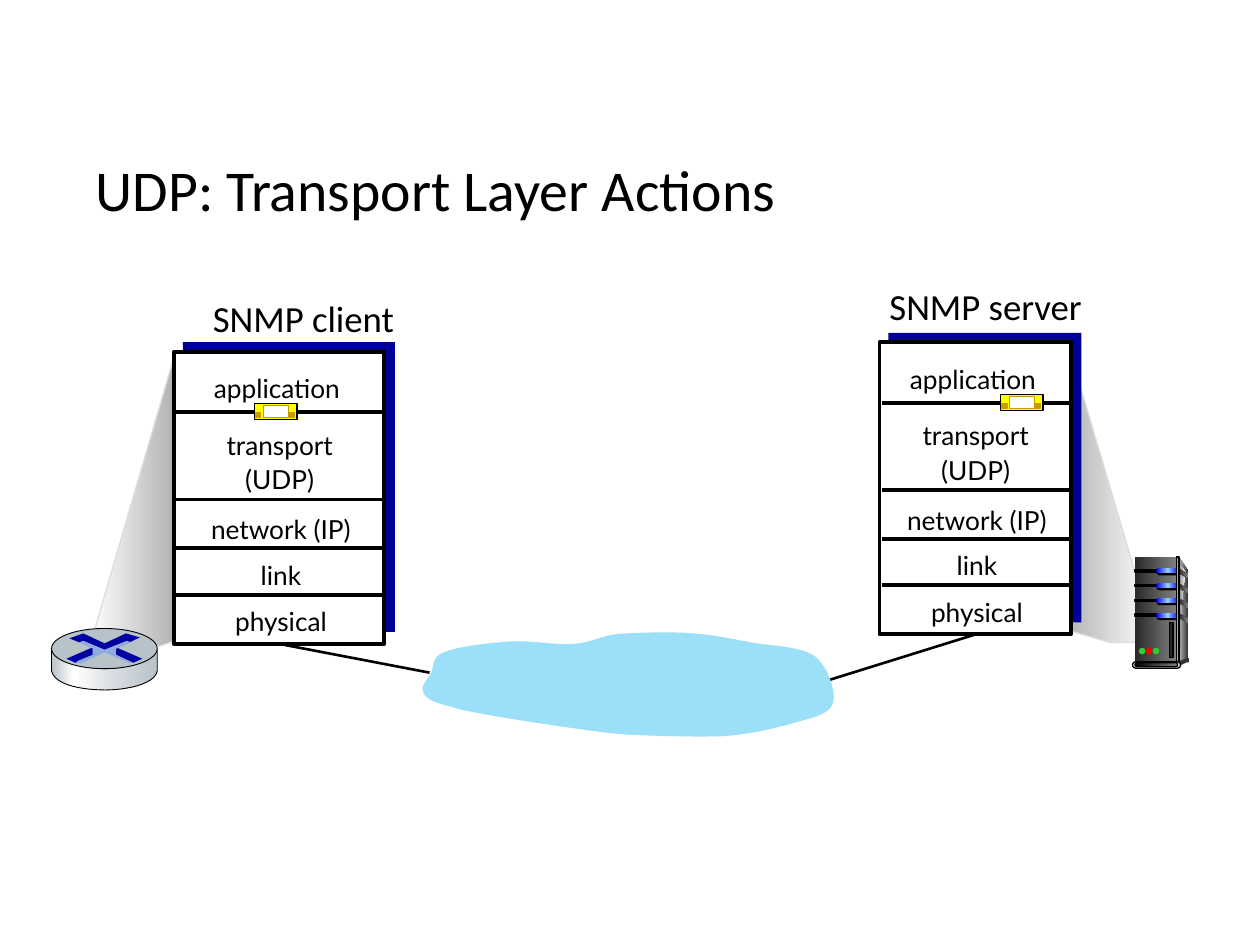
from copy import deepcopy
from dataclasses import dataclass

from lxml import etree
from pptx import Presentation
from pptx import util as u
from pptx.dml import color
from pptx.enum import shapes as kinds, text
from pptx.oxml import ns

RECTANGLE = kinds.MSO_SHAPE.RECTANGLE
PILL = kinds.MSO_SHAPE.ROUNDED_RECTANGLE
OVAL = kinds.MSO_SHAPE.OVAL


@dataclass(frozen=True)
class Theme:
    black: str = "000000"
    white: str = "FFFFFF"
    navy: str = "000099"
    arrow: str = "0000A3"
    arrow_shade: str = "8FAADC"
    cloud: str = "9CDFF9"
    steel: str = "B8C2C9"
    router_side: tuple = ((0, "B8C2C9"), (0.21, "FFFFFF"), (0.6, "D6DCE0"), (1, "B8C2C9"))
    beam_line: str = "DDDDDD"
    beam_left: tuple = ((0, "FFFFFF"), (1, "B2B2B2"))
    beam_right: tuple = ((0, "B2B2B2"), (1, "FFFFFF"))
    yellow: str = "FFFF00"
    ochre: str = "CC9900"
    charcoal: str = "292929"
    dark: str = "333333"
    silver: str = "DDDDDD"
    metal: tuple = ((0, "292929"), (1, "808080"))
    base: tuple = ((0, "000000"), (1, "808080"))
    side: tuple = ((0, "DDDDDD"), (1, "333333"))
    shine: tuple = ((0, "808080"), (1, "F8F8F8"))
    edge: tuple = ((0, "333333"), (0.5, "DDDDDD"), (1, "333333"))
    bay: tuple = ((0, "0000FF"), (0.5, "99CCFF"), (1, "0000FF"))
    green: str = "33CC33"
    red: str = "FF0000"
    heading_font: str = "Calibri"
    layer_font: str = "Lato"
    title_size: int = 33
    caption_size: int = 21
    layer_size: int = 15


@dataclass(frozen=True)
class Box:
    left: float
    top: float
    width: float
    height: float

    def inner(self, left, top, width, height):
        return Box(self.left + left, self.top + top, width, height)

    def lengths(self):
        return [u.Cm(value) for value in (self.left, self.top, self.width, self.height)]


THEME = Theme()


def assign(target, values):
    for name, value in values.items():
        setattr(target, name, value)


def paint(shape, fill, line=None, weight=0.75):
    shape.shadow.inherit = False
    if isinstance(fill, str):
        shape.fill.solid()
        shape.fill.fore_color.rgb = color.RGBColor.from_string(fill)
    else:
        shape.fill.gradient()
        shape.fill.gradient_angle = 0
        stop_list = shape._element.spPr.find(ns.qn("a:gradFill")).find(ns.qn("a:gsLst"))
        for _ in fill[2:]:
            stop_list.append(deepcopy(stop_list[0]))
        for stop, (position, tone) in zip(shape.fill.gradient_stops, fill):
            stop.position = position
            stop.color.rgb = color.RGBColor.from_string(tone)
    if line:
        shape.line.color.rgb = color.RGBColor.from_string(line)
        shape.line.width = u.Pt(weight)
    else:
        shape.line.fill.background()
    return shape


def add_block(shapes, kind, box, fill, line=None, weight=0.75):
    shape = shapes.add_shape(kind, *box.lengths())
    if kind == PILL:
        shape.adjustments[0] = 0.5
    return paint(shape, fill, line, weight)


def curve(start, first, second, end, steps=12):
    for step in range(1, steps + 1):
        t = step / steps
        weights = ((1 - t) ** 3, 3 * t * (1 - t) ** 2, 3 * t * t * (1 - t), t ** 3)
        yield tuple(sum(w * p[axis] for w, p in zip(weights, (start, first, second, end)))
                    for axis in (0, 1))


def add_outline(shapes, box, steps, fill, line=None, weight=0.75):
    points = [steps[0]]
    for step in steps[1:]:
        points += curve(points[-1], *step) if isinstance(step[0], tuple) else [step]
    places = [(u.Cm(box.left + x), u.Cm(box.top + y)) for x, y in points]
    builder = shapes.build_freeform(*places[0])
    builder.add_line_segments(places[1:], close=True)
    return paint(builder.convert_to_shape(), fill, line, weight)


def add_line(shapes, start, end, weight):
    connector = shapes.add_connector(kinds.MSO_CONNECTOR.STRAIGHT,
                                     *[u.Cm(value) for value in (*start, *end)])
    connector.line.color.rgb = color.RGBColor.from_string(THEME.black)
    connector.line.width = u.Pt(weight)
    etree.SubElement(connector._element.spPr, ns.qn("a:effectLst"))
    return connector


def add_text(shapes, box, lines, font, size, frame_values=None, paragraph_values=None):
    frame = shapes.add_textbox(*box.lengths()).text_frame
    assign(frame, {"word_wrap": True, **(frame_values or {})})
    frame.text = "\n".join(lines)
    for paragraph in frame.paragraphs:
        assign(paragraph, paragraph_values or {})
        assign(paragraph.font, {"name": font, "size": u.Pt(size)})
        paragraph.font.color.rgb = color.RGBColor.from_string(THEME.black)


def add_caption(shapes, box, label):
    add_text(shapes, box, [label], THEME.heading_font, THEME.caption_size, {"word_wrap": False})


def add_stack(slide, box):
    shapes = slide.shapes.add_group_shape().shapes
    add_block(shapes, RECTANGLE, box.inner(0.18, -0.19, box.width + 0.03, 5.84), THEME.navy)
    front = add_block(shapes, RECTANGLE, box, THEME.white, THEME.black, 2.25)
    for offset in (1.22, 2.98, 3.96, 4.9):
        y = box.top + offset
        add_line(shapes, (box.left + 0.04, y), (box.left + box.width, y), 2.25)
    layers = ((["application"], 0.23, 0.89, 0.17, 0.43),
              (["transport", "(UDP)"], 1.37, 1.6, 0.51, 1),
              (["network (IP)"], 3.07, 0.89, 0.25, 0.43),
              (["link"], 3.99, 0.89, 0.25, 0.43),
              (["physical"], 4.93, 0.89, 0.25, 0.43))
    for lines, top, height, left, margin in layers:
        add_text(shapes, box.inner(left, top, box.width - margin, height), lines,
                 THEME.layer_font, THEME.layer_size, None,
                 {"alignment": text.PP_ALIGN.CENTER, "line_spacing": 1.1})
    return front


def add_datagram(slide, box):
    shapes = slide.shapes.add_group_shape().shapes
    add_block(shapes, RECTANGLE, box, THEME.yellow, THEME.black)
    add_block(shapes, RECTANGLE, box.inner(0.18, 0.04, 0.51, 0.25), THEME.white, THEME.ochre)
    for left in (0.03, 0.71):
        add_block(shapes, RECTANGLE, box.inner(left, 0.19, 0.1, 0.1), THEME.ochre, THEME.ochre)


def add_tower(slide, box):
    shapes = slide.shapes.add_group_shape().shapes
    add_outline(shapes, box, [(0.94, 0), (1.12, 0.28), (1.12, 2.03), (0.89, 2.13)], THEME.side)
    add_block(shapes, RECTANGLE, box.inner(0.05, 0, 0.84, 2.13), THEME.metal)
    add_outline(shapes, box, [(0.94, 0.13), (1.07, 0.3),
                              ((0.94, 1.09), (0.97, 2.11), (0.94, 2.08))], THEME.shine)
    for bay in range(4):
        row = box.inner(0, 0.23 + 0.3 * bay, box.width, 0.3)
        add_block(shapes, RECTANGLE, row.inner(0.05, 0.02, 0.48, 0.05), THEME.black, THEME.black)
        add_block(shapes, PILL, row.inner(0.48, 0, 0.46, 0.14), THEME.black)
        add_block(shapes, PILL, row.inner(0.48, 0, 0.46, 0.1), THEME.bay)
        add_outline(shapes, row, [(0.93, 0), (1.13, 0.12), (1.12, 0.2), (0.93, 0.09)], THEME.metal)
    add_block(shapes, RECTANGLE, box.inner(0.89, 0, 0.05, 2.13), THEME.edge, THEME.black)
    add_block(shapes, OVAL, box.inner(1.09, 2.03, 0.05, 0.1), THEME.dark)
    add_outline(shapes, box, [(0.91, 2.11), (0.91, 2.21), (1.12, 2.11), (1.12, 2.03)], THEME.dark)
    add_block(shapes, PILL, box.inner(0, 2.11, 0.97, 0.13), THEME.silver, THEME.black)
    add_block(shapes, PILL, box.inner(0.05, 2.13, 0.86, 0.08), THEME.base, THEME.black)
    for index, tone in enumerate((THEME.green, THEME.red, THEME.green)):
        add_block(shapes, OVAL, box.inner(0.13 + 0.14 * index, 1.83, 0.13, 0.13), tone)
    add_block(shapes, RECTANGLE, box.inner(0.74, 1.32, 0.08, 0.71), THEME.charcoal, THEME.black)


def add_router(slide, box):
    shapes = slide.shapes.add_group_shape().shapes
    add_outline(shapes, box, [
        (2.13, 0.43), (2.13, 0.86), ((2.08, 1.14), (1.45, 1.24), (1.09, 1.24)),
        ((0.71, 1.24), (0.08, 1.17), (0, 0.86)), (0, 0.43),
        ((0.1, 0.69), (0.71, 0.81), (1.07, 0.81)), ((1.42, 0.81), (2.03, 0.71), (2.13, 0.43)),
    ], THEME.router_side, THEME.black, 0.5)
    add_block(shapes, OVAL, box.inner(0, 0, box.width, 0.81), THEME.steel, THEME.black, 0.5)
    add_outline(shapes, box, [(1.5, 0.1), (1.78, 0.18), (1.57, 0.28), (1.52, 0.25), (1.07, 0.43),
                              (0.64, 0.25), (0.56, 0.28), (0.36, 0.2), (0.64, 0.1), (1.07, 0.3)],
                THEME.arrow)
    arrow = [(1.3, 0.38), (1.83, 0.61), (1.65, 0.69), (1.3, 0.53)]
    for steps in (arrow, [(box.width - x, y) for x, y in arrow]):
        add_outline(shapes, box, steps, THEME.arrow)
    add_outline(shapes, box, [(0.56, 0.28), (0.64, 0.25), (1.07, 0.43), (1.52, 0.25), (1.6, 0.28),
                              (1.3, 0.41), (1.3, 0.53), (1.63, 0.69), (1.55, 0.69), (1.07, 0.48),
                              (0.58, 0.71), (0.51, 0.66), (0.84, 0.53), (0.84, 0.41)],
                THEME.arrow_shade)


def add_cloud(slide, box):
    add_outline(slide.shapes, box, [
        (3.99, 0.05), ((3.61, 0.1), (3.45, 0.23), (3.1, 0.25)),
        ((2.74, 0.28), (2.29, 0.18), (1.85, 0.2)), ((1.42, 0.23), (0.79, 0.3), (0.51, 0.41)),
        ((0.23, 0.51), (0.3, 0.69), (0.23, 0.84)), ((0.15, 0.97), (0, 1.12), (0.08, 1.24)),
        ((0.13, 1.35), (0.25, 1.42), (0.64, 1.52)), ((0.99, 1.63), (1.68, 1.73), (2.26, 1.83)),
        ((2.87, 1.91), (3.53, 2.03), (4.19, 2.08)), ((4.83, 2.11), (5.59, 2.13), (6.15, 2.11)),
        ((6.71, 2.06), (7.14, 1.96), (7.52, 1.85)), ((7.87, 1.75), (8.26, 1.68), (8.33, 1.45)),
        ((8.41, 1.24), (8.23, 0.71), (7.98, 0.51)), ((7.7, 0.3), (7.16, 0.3), (6.73, 0.23)),
        ((6.3, 0.15), (5.84, 0.05), (5.38, 0.03)), ((4.93, 0), (4.37, 0.03), (3.99, 0.05)),
    ], THEME.cloud)


def build():
    presentation = Presentation()
    assign(presentation, {"slide_width": u.Cm(25.4), "slide_height": u.Cm(19.05)})
    slide = presentation.slides.add_slide(presentation.slide_layouts[6])
    add_text(slide.shapes, Box(1.68, 2.97, 23.11, 1.85), ["UDP: Transport Layer Actions"],
             THEME.heading_font, THEME.title_size,
             {"vertical_anchor": text.MSO_ANCHOR.MIDDLE}, {"line_spacing": 0.9})
    add_outline(slide.shapes, Box(21.44, 6.91, 1.85, 6.07),
                [(1.85, 6.02), (0.08, 0), (0, 5.77), (0.97, 6.05)],
                THEME.beam_right, THEME.beam_line)
    add_outline(slide.shapes, Box(1.78, 7.09, 1.76, 6.1),
                [(0, 6.05), (1.76, 0), (1.73, 5.84), (0.91, 6.1)],
                THEME.beam_left, THEME.beam_line)
    add_tower(slide, Box(22.83, 11.23, 1.14, 2.24))
    add_caption(slide.shapes, Box(17.68, 5.59, 4.45, 1.14), "SNMP server")
    add_caption(slide.shapes, Box(4.04, 5.84, 4.22, 1.14), "SNMP client")
    for box, cloud_end in ((Box(17.73, 6.9, 3.86, 5.89), (16.61, 13.74)),
                           (Box(3.51, 7.09, 4.24, 5.89), (8.66, 13.56))):
        front = add_stack(slide, box)
        bottom = (box.left + box.width / 2, box.top + box.height)
        add_line(slide.shapes, bottom, cloud_end, 1.5).begin_connect(front, 2)
    add_cloud(slide, Box(8.46, 12.73, 8.41, 2.13))
    add_router(slide, Box(1.04, 12.67, 2.13, 1.24))
    for left, top in ((5.13, 8.13), (20.17, 7.95)):
        add_datagram(slide, Box(left, top, 0.86, 0.33))
    presentation.save("out.pptx")


if __name__ == "__main__":
    build()
